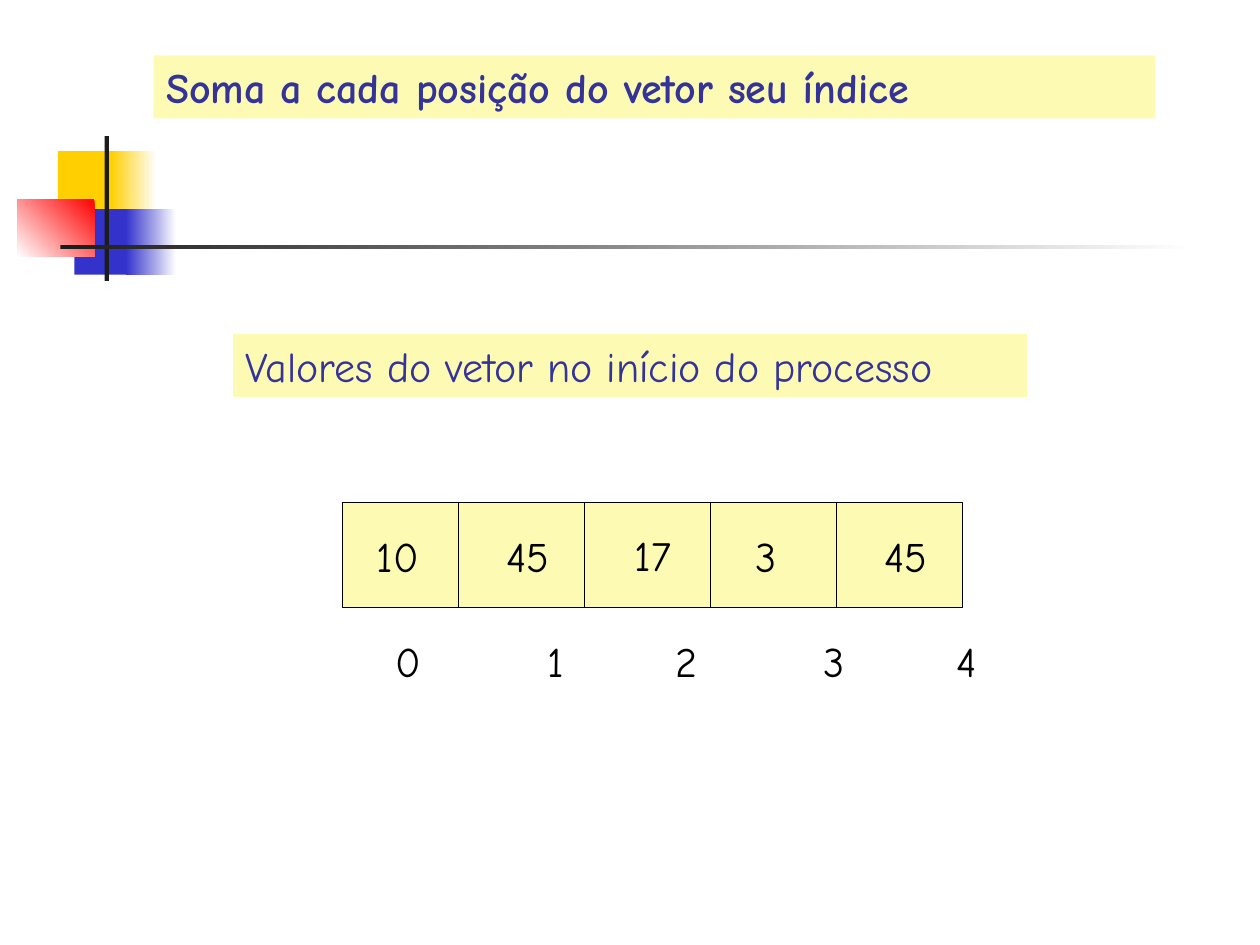
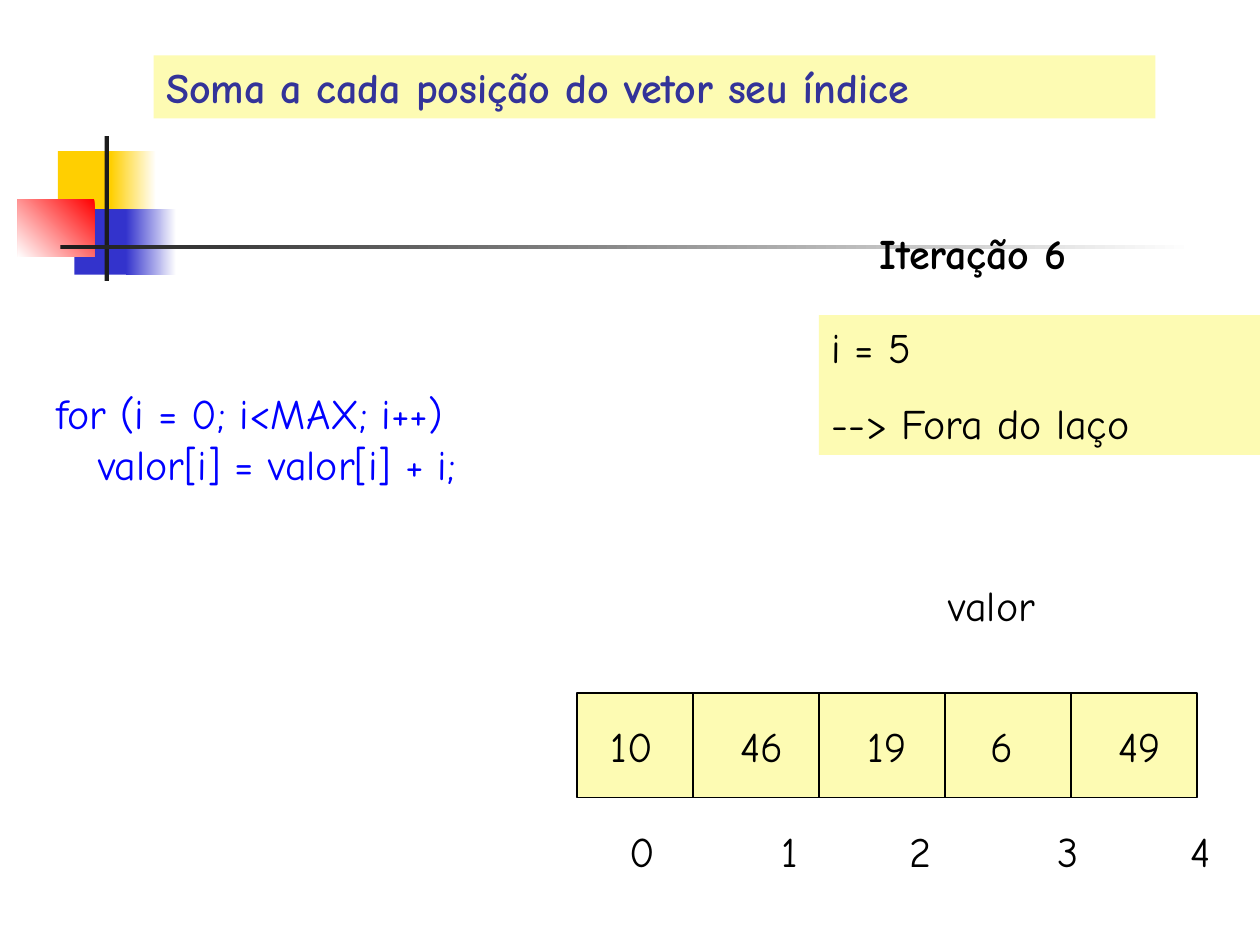
"""Build two slides that add each array position's index to its value."""
from dataclasses import dataclass

from lxml import etree
from pptx import Presentation
from pptx.dml.color import RGBColor
from pptx.enum.shapes import MSO_CONNECTOR, MSO_SHAPE
from pptx.enum.text import MSO_ANCHOR, MSO_AUTO_SIZE, PP_ALIGN
from pptx.oxml.ns import qn
from pptx.util import Inches, Pt

RECTANGLE = MSO_SHAPE.RECTANGLE
STRAIGHT = MSO_CONNECTOR.STRAIGHT
TOP, MIDDLE = MSO_ANCHOR.TOP, MSO_ANCHOR.MIDDLE
LEFT, CENTER = PP_ALIGN.LEFT, PP_ALIGN.CENTER
FIT_TEXT = MSO_AUTO_SIZE.SHAPE_TO_FIT_TEXT

COLUMNS, ROWS = 100, 75
LINE_ROWS = 5
CELL_COUNT = 5
CELL_WIDTH, FIRST_CELL_WIDTH, CELL_HEIGHT = 10, 9.2, 8.3
VALUE_OFFSETS = (1.7, 12, None, 31.8, 42)
INDEX_STOPS = (2, 13.7, 24.1, 35.8, 46.3)


@dataclass(frozen=True)
class Theme:
    """Colours, font and type sizes of the deck."""

    font: str = "Comic Neue"
    size: int = 24
    gap: int = 15
    rule: float = 0.75
    black: str = "000000"
    white: str = "FFFFFF"
    panel: str = "FDFBB3"
    title: str = "333399"
    code: str = "0000FF"
    yellow: str = "FFCF01"
    blue: str = "3333CC"
    red: str = "FF0000"
    bar: str = "1C1C1C"


THEME = Theme()


def grid(*lengths):
    """Turn grid units into lengths on the slide."""
    return [Inches(length / 10) for length in lengths]


def color(code):
    """Return the colour of a hex code."""
    return RGBColor.from_string(code)


def add_block(page, area, fill, fade_angle=None):
    """Add a borderless rectangle, solid or fading to white."""
    block = page.shapes.add_shape(RECTANGLE, *grid(*area))
    block.shadow.inherit = False
    block.line.fill.background()
    if fade_angle is None:
        block.fill.solid()
        block.fill.fore_color.rgb = color(fill)
        return block
    block.fill.gradient()
    block.fill.gradient_angle = fade_angle
    for stop, code in zip(block.fill.gradient_stops, (fill, THEME.white)):
        stop.color.rgb = color(code)
    return block


def write(box, lines, ink=THEME.black, bold=False, align=LEFT, anchor=TOP,
          wrap=True, gap=0):
    """Write lines into a box, one paragraph each."""
    frame = box.text_frame
    frame.word_wrap = wrap
    frame.vertical_anchor = anchor
    frame.text = "\n".join(lines)
    for para in frame.paragraphs:
        para.alignment = align
        para.space_before = Pt(gap)
        para.font.name = THEME.font
        para.font.size = Pt(THEME.size)
        para.font.bold = bold
        para.font.color.rgb = color(ink)
    return frame.paragraphs


def add_label(page, area, lines, **style):
    """Add a plain text box."""
    box = page.shapes.add_textbox(*grid(*area))
    paragraphs = write(box, lines, **style)
    box.text_frame.auto_size = FIT_TEXT
    return paragraphs


def add_panel(page, area, lines, **style):
    """Add text on a yellow band."""
    write(add_block(page, area, THEME.panel), lines, gap=THEME.gap, **style)


def add_divider(page, x, top):
    """Add a vertical line between two cells."""
    divider = page.shapes.add_connector(
        STRAIGHT, *grid(x, top, x, top + CELL_HEIGHT))
    divider.line.color.rgb = color(THEME.black)
    divider.line.width = Pt(THEME.rule)
    etree.SubElement(divider._element.spPr, qn("a:effectLst"))


def add_indices(page, left, top):
    """Add the row of indices, set on centred tab stops."""
    text = "".join(f"\t{index}" for index in range(CELL_COUNT))
    para = add_label(page, (left, top, 52, LINE_ROWS), [text],
                     gap=THEME.gap)[0]
    tabs = etree.Element(qn("a:tabLst"))
    for position in grid(*INDEX_STOPS):
        etree.SubElement(tabs, qn("a:tab"), pos=str(position), algn="ctr")
    para._p.get_or_add_pPr().insert_element_before(tabs, "a:defRPr")


def add_array(page, left, top, values):
    """Add the array strip with its values and indices."""
    width = FIRST_CELL_WIDTH + (CELL_COUNT - 1) * CELL_WIDTH
    strip = add_block(page, (left, top, width, CELL_HEIGHT), THEME.panel)
    strip.line.color.rgb = color(THEME.black)
    strip.line.width = Pt(THEME.rule)
    write(strip, [str(values[CELL_COUNT // 2])], align=CENTER, anchor=MIDDLE,
          wrap=False)
    for cell in range(CELL_COUNT - 1):
        add_divider(page, left + FIRST_CELL_WIDTH + cell * CELL_WIDTH, top)
    for value, offset in zip(values, VALUE_OFFSETS):
        if offset is not None:
            text = str(value)
            area = (left + offset, top + 1.7, 2 + 1.7 * len(text), LINE_ROWS)
            add_label(page, area, [text], wrap=False)
    add_indices(page, left + 2.2, top + 10.05)


def add_code(page, area, head, body):
    """Add a loop head and its indented body."""
    first, second = add_label(page, area, [head, body], ink=THEME.code)
    first.line_spacing = 1.17
    second._p.get_or_add_pPr().set("marL", str(Inches(0.33)))


def add_page(deck):
    """Add a slide with the corner ornament and the title."""
    page = deck.slides.add_slide(deck.slide_layouts[6])
    add_block(page, (4.6, 12, 4.8, 5.2), THEME.yellow)
    add_block(page, (8.8, 12, 3.6, 5.2), THEME.yellow, 0)
    add_block(page, (5.9, 16.6, 4.6, 5.2), THEME.blue)
    add_block(page, (10, 16.6, 4, 5.2), THEME.blue, 0)
    add_block(page, (1.4, 15.8, 6.1, 4.6), THEME.red, 225)
    add_block(page, (8.3, 10.8, 0.35, 11.5), THEME.bar)
    add_block(page, (4.8, 19.45, 90, 0.35), THEME.bar, 0)
    add_panel(page, (12.2, 4.4, 79.5, LINE_ROWS),
              ["Soma a cada posição do vetor seu índice"],
              ink=THEME.title, bold=True)
    return page


def build_start(deck):
    """Show the array before the loop."""
    page = add_page(deck)
    add_array(page, 27.2, 39.9, (10, 45, 17, 3, 45))
    add_panel(page, (18.5, 26.5, 63, LINE_ROWS),
              ["Valores do vetor no início do processo"], ink=THEME.title)


def build_last_iteration(deck):
    """Show the array once the loop has ended."""
    page = add_page(deck)
    add_label(page, (74.3, 45.5, 8.9, LINE_ROWS), ["valor"], wrap=False)
    add_label(page, (68.8, 17.6, 17, LINE_ROWS), ["Iteração 6"], bold=True,
              wrap=False)
    add_array(page, 45.8, 55, (10, 46, 19, 6, 49))
    add_panel(page, (65, 25, 35, 11.1), ["i = 5", "--> Fora do laço"])
    add_code(page, (3.5, 29.6, 38.2, 9.7),
             "for (i = 0; i<MAX; i++)", "valor[i] = valor[i] + i;")


def main():
    """Build and save the deck."""
    deck = Presentation()
    deck.slide_width, deck.slide_height = grid(COLUMNS, ROWS)
    build_start(deck)
    build_last_iteration(deck)
    deck.save("out.pptx")


if __name__ == "__main__":
    main()
